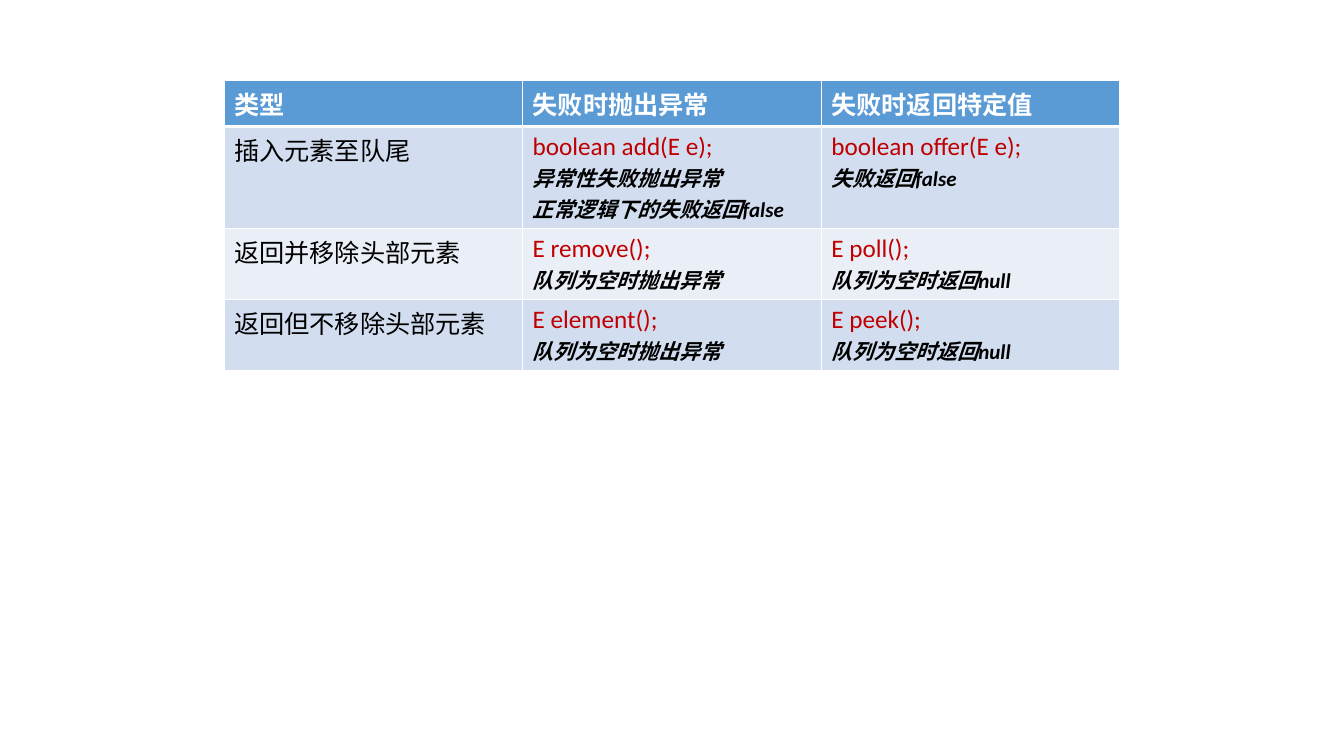
from lxml.etree import SubElement
from pptx import Presentation
from pptx.dml.color import RGBColor
from pptx.oxml.ns import qn
from pptx.util import Emu, Pt

EMU_PER_PX = 914400 / 100.8
FONT = "Calibri"
WHITE = RGBColor(0xFF, 0xFF, 0xFF)
BLACK = RGBColor(0x00, 0x00, 0x00)
RED = RGBColor(0xC0, 0x00, 0x00)
HEADER_BLUE = RGBColor(0x5B, 0x9B, 0xD5)
BAND_BLUES = (RGBColor(0xD2, 0xDE, 0xEF), RGBColor(0xEA, 0xEF, 0xF7))

HEADINGS = ("类型", "失败时抛出异常", "失败时返回特定值")
# Each row: operation, then (signature, notes...) for both kinds of method
QUEUE_METHODS = (
    ("插入元素至队尾",
     ("boolean add(E e);", "异常性失败抛出异常", "正常逻辑下的失败返回false"),
     ("boolean offer(E e);", "失败返回false")),
    ("返回并移除头部元素",
     ("E remove();", "队列为空时抛出异常"),
     ("E poll();", "队列为空时返回null")),
    ("返回但不移除头部元素",
     ("E element();", "队列为空时抛出异常"),
     ("E peek();", "队列为空时返回null")),
)


def px(length):
    return Emu(round(length * EMU_PER_PX))


def add_line(cell, text, first, color, size=18, bold=False, italic=False):
    frame = cell.text_frame
    para = frame.paragraphs[0] if first else frame.add_paragraph()
    span = para.add_run()
    span.text = text
    font = span.font
    font.name, font.size = FONT, Pt(size)
    font.bold, font.italic = bold, italic
    font.color.rgb = color


def style_cell(cell, fill, top=1, bottom=1):
    """Give the cell white borders, with widths in points, and a plain fill."""
    properties = cell._tc.get_or_add_tcPr()
    for side, width in (("L", 1), ("R", 1), ("T", top), ("B", bottom)):
        border = SubElement(properties, qn(f"a:ln{side}"), w=str(Pt(width)))
        solid = SubElement(border, qn("a:solidFill"))
        SubElement(solid, qn("a:srgbClr"), val=str(WHITE))
    cell.fill.solid()
    cell.fill.fore_color.rgb = fill


def add_method_table(slide, left, top, width, row_height):
    row_count = len(QUEUE_METHODS) + 1
    table = slide.shapes.add_table(
        row_count, len(HEADINGS), px(left), px(top),
        px(width), px(row_height * row_count)).table
    for column in table.columns:
        column.width = px(width / len(HEADINGS))

    for index, heading in enumerate(HEADINGS):
        cell = table.cell(0, index)
        style_cell(cell, HEADER_BLUE, bottom=3)
        add_line(cell, heading, True, WHITE, bold=True)

    for row, (operation, *methods) in enumerate(QUEUE_METHODS, start=1):
        for cell in table.rows[row].cells:
            style_cell(cell, BAND_BLUES[(row - 1) % 2], top=3 if row == 1 else 1)
        add_line(table.cell(row, 0), operation, True, BLACK)
        for column, (signature, *notes) in enumerate(methods, start=1):
            cell = table.cell(row, column)
            add_line(cell, signature, True, RED)
            for note in notes:
                add_line(cell, note, False, BLACK, size=15, bold=True, italic=True)


def main():
    deck = Presentation()
    deck.slide_width, deck.slide_height = px(1344), px(756)
    slide = deck.slides.add_slide(deck.slide_layouts[6])
    add_method_table(slide, left=224, top=80, width=896, row_height=41)
    deck.save("out.pptx")


if __name__ == "__main__":
    main()
